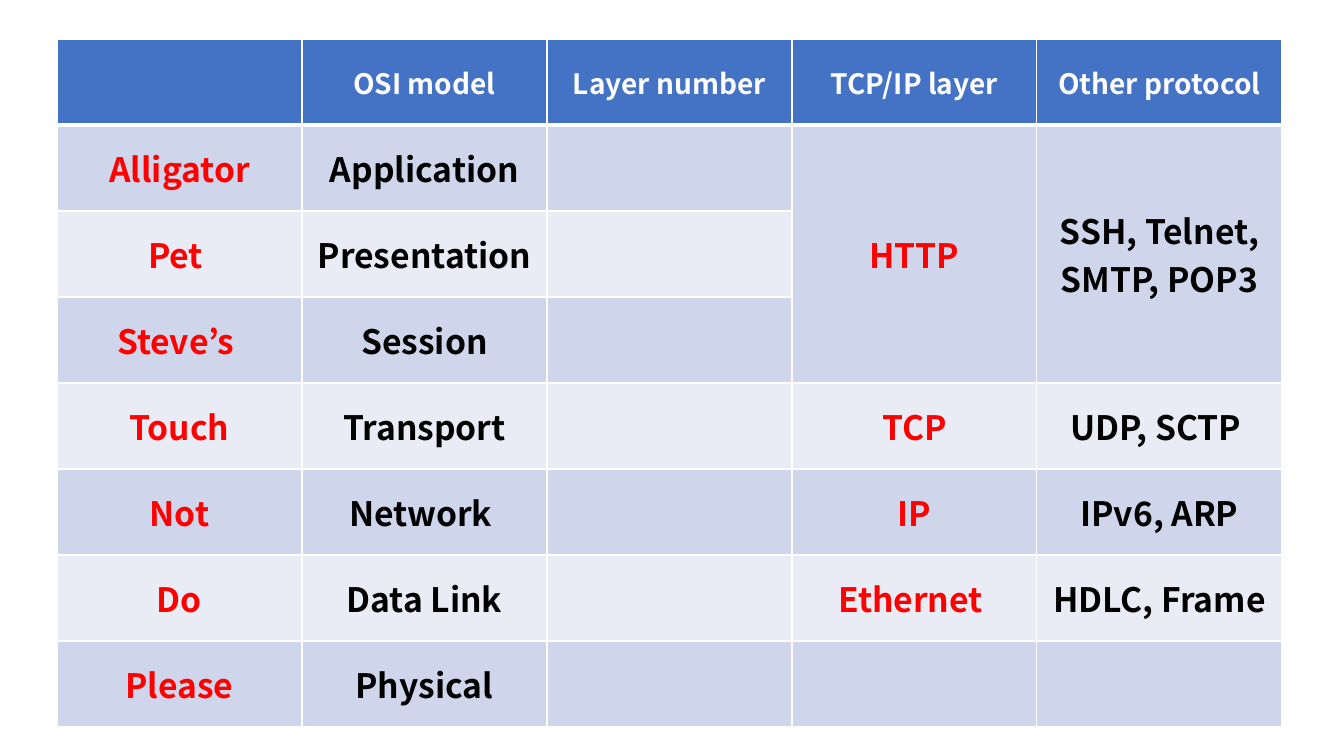
"""Build a slide that maps the OSI layers to TCP/IP and other protocols."""
from typing import NamedTuple

from lxml import etree
from pptx import Presentation, util as u
from pptx.dml.color import RGBColor
from pptx.enum import text
from pptx.oxml import ns
from pptx.table import _Cell as Cell

PX = 914400 / 100.8
FONT = "Noto Sans CJK KR"
WHITE, BLACK, RED, HEADER_BLUE = "FFFFFF", "000000", "FF0000", "4472C4"
BANDS = ("CFD5EA", "E9EBF5")
LEFT, TOP, COLUMN_WIDTH, ROW_HEIGHT = 57, 39, 245, 86


class Layer(NamedTuple):
    """One row of the table, in column order."""
    mnemonic: str
    osi: str
    number: str = ""
    tcp_ip: str = ""
    other: str = ""


HEADINGS = Layer("", "OSI model", "Layer number", "TCP/IP layer", "Other protocol")
LAYER_COLORS = Layer(RED, BLACK, BLACK, RED, BLACK)
LAYERS = [
    Layer("Alligator", "Application", tcp_ip="HTTP", other="SSH, Telnet, SMTP, POP3"),
    Layer("Pet ", "Presentation"),
    Layer("Steve’s ", "Session"),
    Layer("Touch", "Transport", tcp_ip="TCP", other="UDP, SCTP "),
    Layer("Not", "Network ", tcp_ip="IP", other="IPv6, ARP"),
    Layer("Do", "Data Link", tcp_ip="Ethernet ", other="HDLC, Frame"),
    Layer("Please", "Physical"),
]


def px(pixels: int) -> u.Emu:
    """Convert pixels to EMU."""
    return u.Emu(round(pixels * PX))


def rgb(value: str) -> RGBColor:
    """Convert a hex string to a colour."""
    return RGBColor.from_string(value)


def add_borders(cell: Cell, top: int, bottom: int) -> None:
    """Give a cell white borders, with the top and bottom widths in points."""
    properties = cell._tc.get_or_add_tcPr()
    for side, width in {"L": 1, "R": 1, "T": top, "B": bottom}.items():
        line = etree.SubElement(properties, ns.qn(f"a:ln{side}"), w=str(u.Pt(width)))
        fill = etree.SubElement(line, ns.qn("a:solidFill"))
        etree.SubElement(fill, ns.qn("a:srgbClr"), val=WHITE)


def fill_cell(cell: Cell, wording: str, background: str, color: str, size: int) -> None:
    """Fill a cell and write its centred bold wording."""
    cell.fill.solid()
    cell.fill.fore_color.rgb = rgb(background)
    cell.vertical_anchor = text.MSO_ANCHOR.MIDDLE
    cell.text_frame.text = wording
    paragraph = cell.text_frame.paragraphs[0]
    paragraph.alignment = text.PP_ALIGN.CENTER
    for run in paragraph.runs:
        run.font.name = FONT
        run.font.size = u.Pt(size)
        run.font.bold = True
        run.font.color.rgb = rgb(color)


def main() -> None:
    """Build and save the slide."""
    deck = Presentation()
    deck.slide_width, deck.slide_height = px(1344), px(756)
    slide = deck.slides.add_slide(deck.slide_layouts[6])
    rows = [HEADINGS, *LAYERS]
    columns = len(HEADINGS)
    layer_table = slide.shapes.add_table(
        len(rows), columns, px(LEFT), px(TOP),
        px(columns * COLUMN_WIDTH), px(len(rows) * ROW_HEIGHT),
    ).table
    for column in layer_table.columns:
        column.width = px(COLUMN_WIDTH)
    for r, layer in enumerate(rows):
        layer_table.rows[r].height = px(ROW_HEIGHT)
        for c, wording in enumerate(layer):
            cell = layer_table.cell(r, c)
            add_borders(cell, top=3 if r == 1 else 1, bottom=3 if r == 0 else 1)
            if r == 0:
                fill_cell(cell, wording, HEADER_BLUE, WHITE, 20)
            else:
                fill_cell(cell, wording, BANDS[(r - 1) % 2], LAYER_COLORS[c], 24)
    for c in (3, 4):
        layer_table.cell(1, c).merge(layer_table.cell(3, c))
    deck.save("out.pptx")


main()
